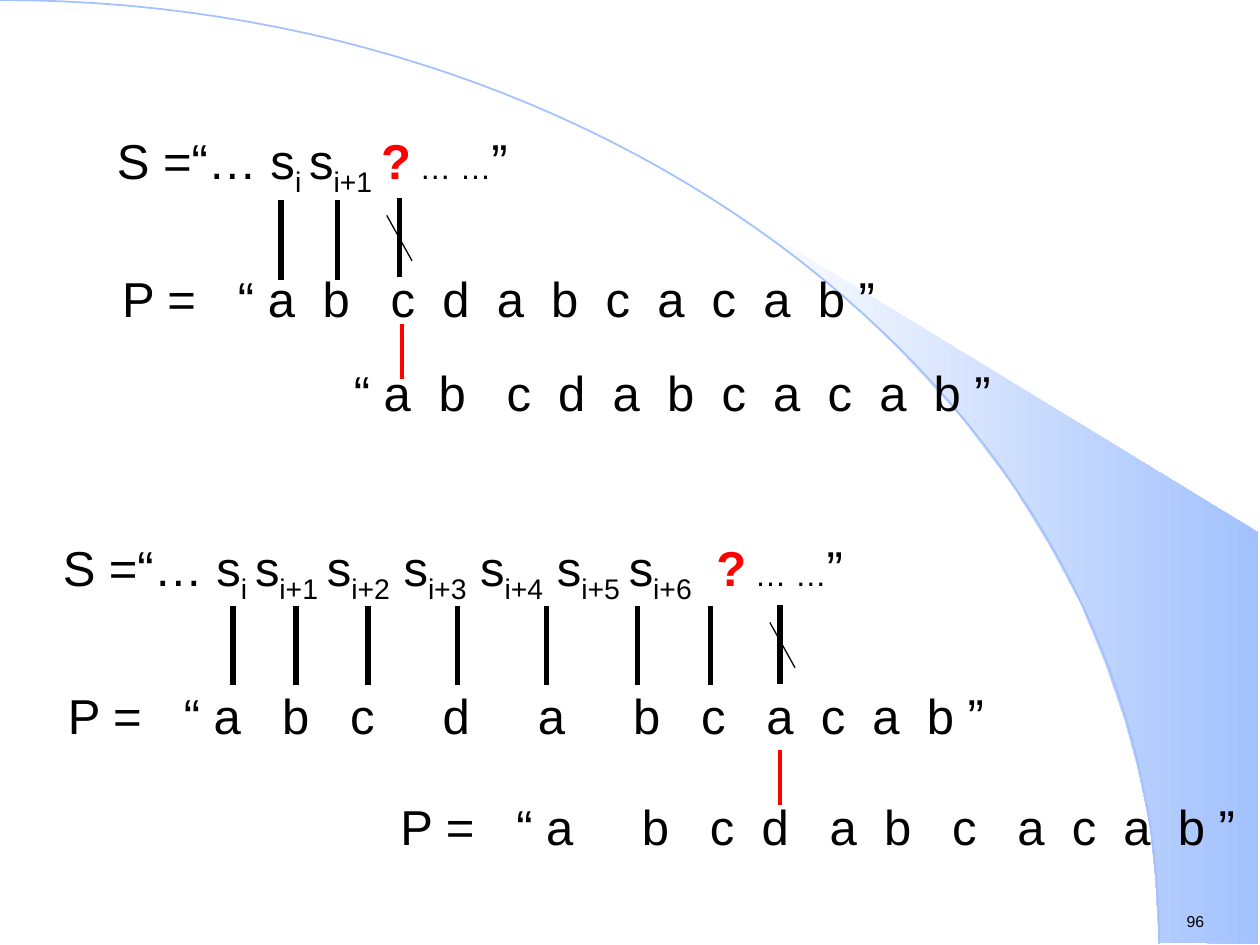
from dataclasses import dataclass

import pptx
import pptx.dml.color
import pptx.enum.shapes
import pptx.oxml
import pptx.oxml.ns
import pptx.util
from pptx.util import Inches


@dataclass(frozen=True)
class Theme:
    font: str = "Arial"
    black: str = "000000"
    red: str = "FF0000"
    white: str = "FFFFFF"
    blue: str = "A2C1FE"
    body: float = 28
    small: float = 18
    number: float = 9
    bar: float = 3
    shift: float = 2.25
    slash: float = 0.75


THEME = Theme()
PATTERN = "abcdabcacab"
SPACE = 0.108
LETTER_WIDTH = {"a": 0.216, "b": 0.216, "c": 0.194, "d": 0.216}
SHORT_GAPS = [2, 3, 2, 2, 2, 2, 2, 2, 2, 2]
SWEEP = [
    (9.2, 7.48), (9.99, 7.49), (9.99, 4.23), (5.89, 1.73), (6.24, 1.99),
    (6.53, 2.22), (6.85, 2.5), (7.16, 2.8), (7.62, 3.3), (8.03, 3.84),
    (8.32, 4.31), (8.58, 4.79), (8.78, 5.28), (8.93, 5.72), (9.03, 6.09),
    (9.13, 6.56), (9.17, 6.96),
]


def rgb(color):
    return pptx.dml.color.RGBColor.from_string(color)


def add_freeform(s, points, close):
    pts = [(Inches(x), Inches(y)) for x, y in points]
    builder = s.shapes.build_freeform(*pts[0], scale=1.0)
    builder.add_line_segments(pts[1:], close=close)
    sp = builder.convert_to_shape()
    sp.shadow.inherit = False
    return sp


def add_background(s):
    sp = add_freeform(s, SWEEP, True)
    sp.line.fill.background()
    sp.fill.gradient()
    sp.fill.gradient_angle = 0
    for stop, color, place in zip(sp.fill.gradient_stops, (THEME.white, THEME.blue), (0, 1)):
        stop.color.rgb = rgb(color)
        stop.position = place

    arc = []
    for i in range(61):
        t = i / 60
        u = 1 - t
        arc.append((3 * u * u * t * 5.08 + 3 * u * t * t * 9.2 + t ** 3 * 9.2,
                    3 * u * t * t * 3.35 + t ** 3 * 7.49))
    sp = add_freeform(s, arc, False)
    sp.fill.background()
    sp.line.color.rgb = rgb(THEME.blue)
    sp.line.width = pptx.util.Pt(1)


def add_box(s, left, top, width, height, wrap=True):
    tf = s.shapes.add_textbox(Inches(left), Inches(top), Inches(width), Inches(height)).text_frame
    tf.word_wrap = wrap
    return tf.paragraphs[0]


def add_run(p, text, size=THEME.body, color=THEME.black, bold=False, sub=False):
    r = p.add_run()
    r.text = text
    r.font.name = THEME.font
    r.font.size = pptx.util.Pt(size)
    r.font.color.rgb = rgb(color)
    r.font.bold = bold
    if sub:
        r.font._element.set("baseline", "-25000")


def add_tabs(p, stops):
    tabs = pptx.oxml.parse_xml(f"<a:tabLst {pptx.oxml.ns.nsdecls('a')}/>")
    for stop in stops:
        tab = tabs.makeelement(pptx.oxml.ns.qn("a:tab"), {"pos": str(Inches(stop)), "algn": "l"})
        tabs.append(tab)
    p._p.get_or_add_pPr().append(tabs)


def add_string_row(s, left, top, symbols):
    p = add_box(s, left, top, 8.07, 0.63)
    add_run(p, "S =“… ")
    for base, index, gap in symbols:
        add_run(p, base)
        add_run(p, index, sub=True)
        if gap:
            add_run(p, gap, THEME.small)
    add_run(p, "?", color=THEME.red, bold=True)
    add_run(p, " … …", THEME.small)
    add_run(p, "”")


def add_pattern_row(s, left, top, width, gaps, label="P =", quote=0.92):
    p = add_box(s, left, top, width, 0.57)
    x = quote + 0.24
    stops = [quote]
    for letter, gap in zip(PATTERN, gaps):
        x += LETTER_WIDTH[letter] + gap * SPACE
        stops.append(x)
    add_tabs(p, stops)
    add_run(p, label + "\t“ " + "\t".join(PATTERN) + " ”")


def add_line(s, x1, y1, x2, y2, width=THEME.bar, color=THEME.black):
    line = s.shapes.add_connector(
        pptx.enum.shapes.MSO_CONNECTOR.STRAIGHT,
        Inches(x1), Inches(y1), Inches(x2), Inches(y2))
    line.line.width = pptx.util.Pt(width)
    line.line.color.rgb = rgb(color)
    line._element.spPr.append(
        pptx.oxml.parse_xml(f"<a:effectLst {pptx.oxml.ns.nsdecls('a')}/>"))


def add_matches(s, xs, top):
    for x in xs:
        add_line(s, x, top, x, top + 0.63)


def add_mismatch(s, x, top, slash_x):
    add_matches(s, [x], top)
    add_line(s, slash_x, top + 0.14, slash_x + 0.2, top + 0.5, THEME.slash)


def add_shift(s, x, top):
    add_line(s, x, top, x, top + 0.44, THEME.shift, THEME.red)


def main():
    prs = pptx.Presentation()
    prs.slide_width, prs.slide_height = Inches(10), Inches(7.5)
    s = prs.slides.add_slide(prs.slide_layouts[6])
    add_background(s)
    add_run(add_box(s, 9.32, 7.19, 0.77, 0.25, wrap=False), "96", THEME.number)

    add_string_row(s, 0.83, 0.99, [("s", "i ", ""), ("s", "i+1", " ")])
    add_pattern_row(s, 0.87, 2.08, 8.31, SHORT_GAPS)
    add_matches(s, [2.23, 2.68], 1.59)
    add_mismatch(s, 3.17, 1.57, 3.07)

    add_string_row(s, 0.4, 4.22, [
        ("s", "i ", ""), ("s", "i+1", " "), ("s", "i+2", ""), (" s", "i+3", ""),
        (" s", "i+4", ""), (" s", "i+5", " "), ("s", "i+6  ", " ")])
    add_pattern_row(s, 0.44, 5.39, 8.31, [3, 3, 5, 5, 5, 3, 3, 2, 2, 2])
    add_matches(s, [1.85, 2.35, 2.92, 3.63, 4.34, 5.06, 5.64], 4.81)
    add_mismatch(s, 6.19, 4.8, 6.11)

    add_pattern_row(s, 3.08, 6.27, 6.92, [5, 3, 2, 3, 2, 3, 3, 2, 2, 2])
    add_shift(s, 6.19, 5.95)
    add_pattern_row(s, 1.85, 2.83, 6.65, SHORT_GAPS, label="", quote=0.86)
    add_shift(s, 3.19, 2.57)
    prs.save("out.pptx")


if __name__ == "__main__":
    main()
